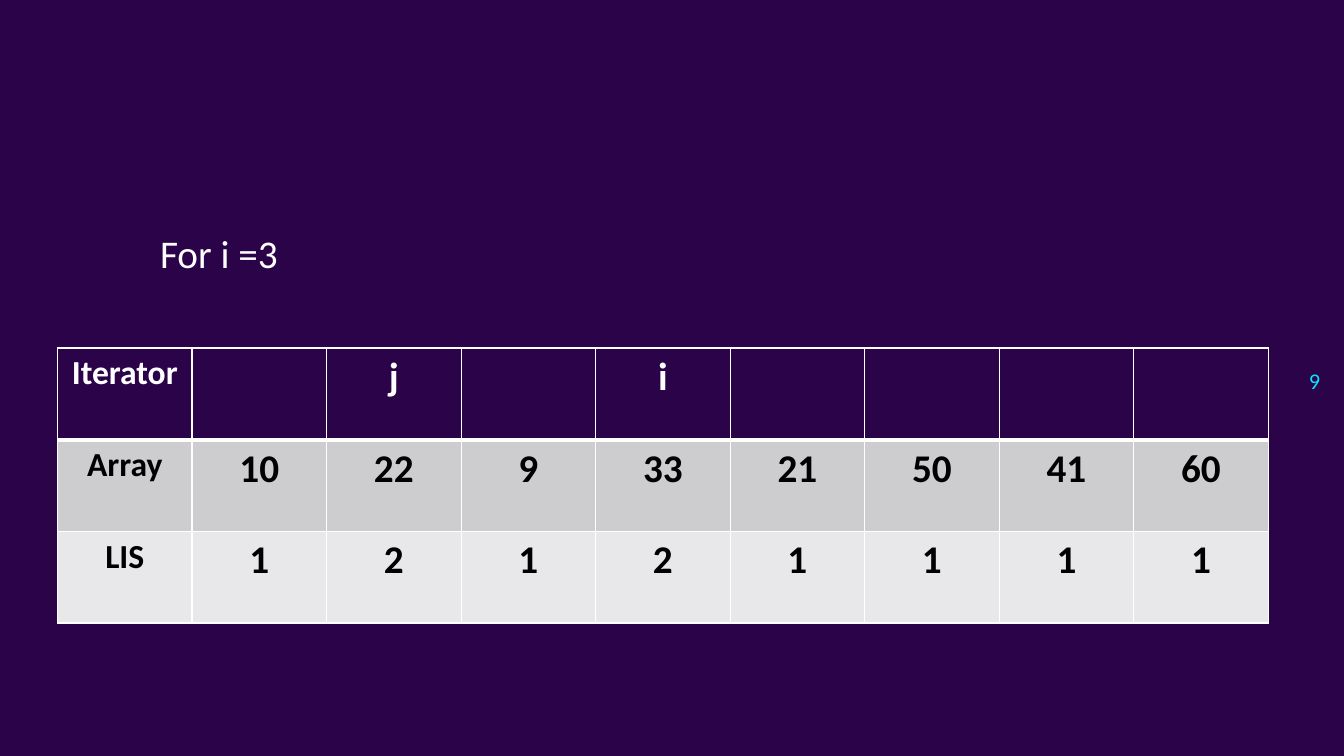
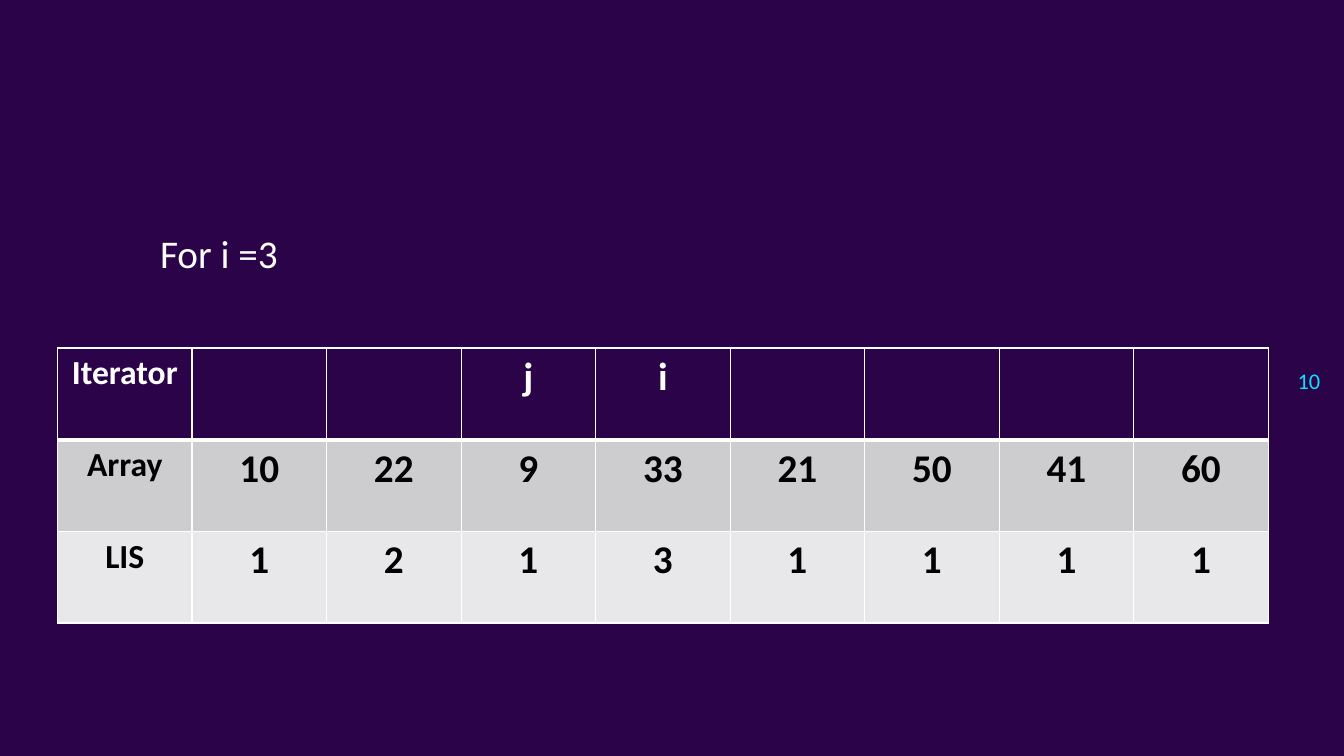
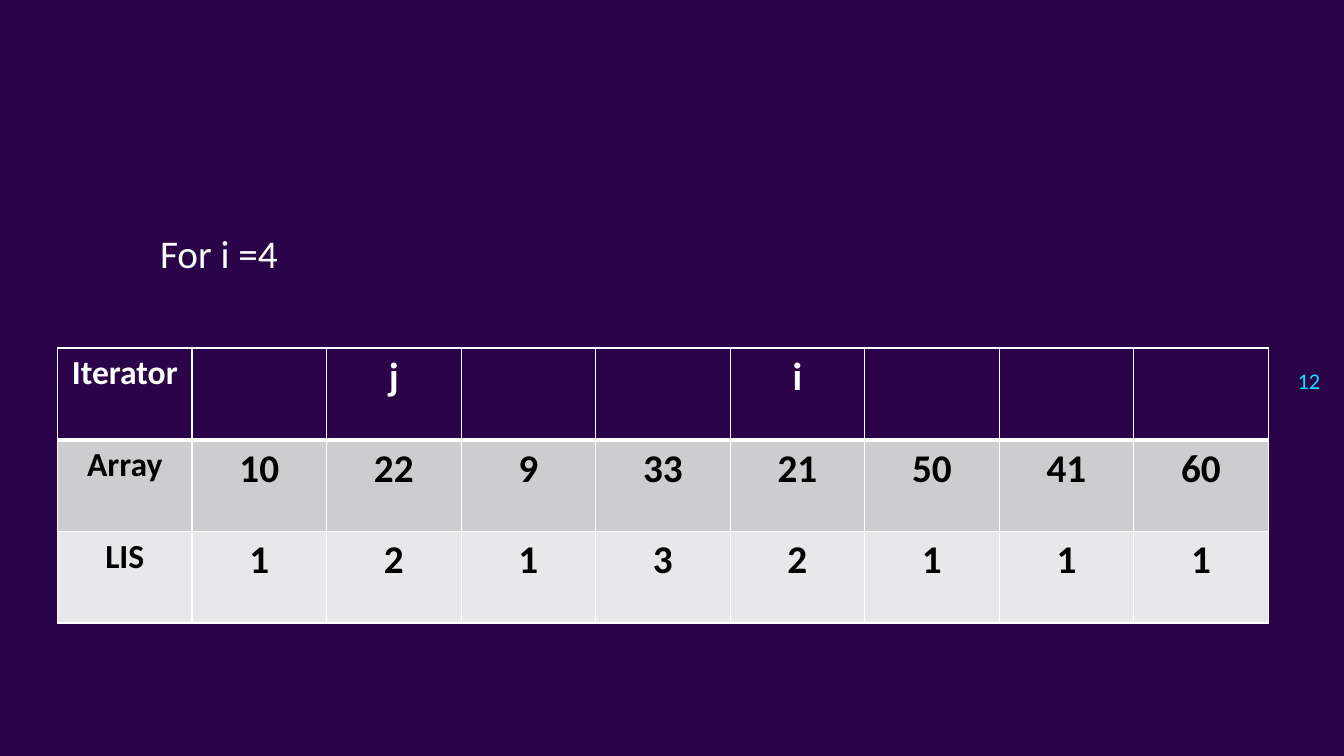
from dataclasses import dataclass

from lxml.etree import SubElement
from pptx import Presentation
from pptx.dml.color import RGBColor
from pptx.enum.text import MSO_ANCHOR, MSO_AUTO_SIZE, PP_ALIGN
from pptx.oxml.ns import qn
from pptx.util import Cm, Pt


@dataclass(frozen=True)
class Theme:
    font: str = "Calibri"
    background: str = "2B0348"
    light: str = "FFFFFF"
    dark: str = "000000"
    accent: str = "0BE1FF"
    array_fill: str = "CDCCCF"
    lis_fill: str = "E8E7E9"
    title_size: int = 28
    label_size: int = 24
    value_size: int = 28
    number_size: int = 16
    rule: int = 1
    header_rule: int = 3


THEME = Theme()
TITLE_ONLY = 5

# Table content
ARRAY = [10, 22, 9, 33, 21, 50, 41, 60]
COL_W, ROW_H = Cm(3.39), Cm(2.31)

# Slide number, positions of j and i in the array, LIS lengths so far
STEPS = [
    (9, 1, 3, [1, 2, 1, 2, 1, 1, 1, 1]),
    (10, 2, 3, [1, 2, 1, 3, 1, 1, 1, 1]),
    (12, 1, 4, [1, 2, 1, 3, 2, 1, 1, 1]),
]


def add_run(p, text, size, color, bold=False):
    r = p.add_run()
    r.text = str(text)
    r.font.name = THEME.font
    r.font.size = Pt(size)
    r.font.bold = bold
    r.font.color.rgb = RGBColor.from_string(color)


def add_title(s, text):
    title = s.shapes.title
    title.left, title.top, title.width, title.height = Cm(3.78), Cm(5.05), Cm(20.3), Cm(3.12)
    tf = title.text_frame
    tf.auto_size = MSO_AUTO_SIZE.NONE
    tf.vertical_anchor = MSO_ANCHOR.TOP
    p = tf.paragraphs[0]
    p.alignment = PP_ALIGN.LEFT
    p.line_spacing = 1.5
    add_run(p, text, THEME.title_size, THEME.light)


def add_slide_number(s, number):
    tf = s.shapes.add_textbox(Cm(32), Cm(8.79), Cm(1.52), Cm(1.6)).text_frame
    tf.word_wrap = True
    tf.vertical_anchor = MSO_ANCHOR.MIDDLE
    p = tf.paragraphs[0]
    p.alignment = PP_ALIGN.RIGHT
    add_run(p, number, THEME.number_size, THEME.accent)


def set_borders(cell, top, bottom):
    tc_pr = cell._tc.get_or_add_tcPr()
    sides = {"L": THEME.rule, "R": THEME.rule, "T": top, "B": bottom}
    for side, width in sides.items():
        ln = SubElement(tc_pr, qn(f"a:ln{side}"), w=str(Pt(width)))
        SubElement(SubElement(ln, qn("a:solidFill")), qn("a:srgbClr"), val=THEME.light)


def add_lis_table(s, j, i, lis):
    iterators = [{j: "j", i: "i"}.get(k, "") for k in range(len(ARRAY))]
    # Row label and values, fill, text colour, top and bottom rule
    rows = [
        (["Iterator", *iterators], THEME.background, THEME.light, THEME.rule, THEME.header_rule),
        (["Array", *ARRAY], THEME.array_fill, THEME.dark, THEME.header_rule, THEME.rule),
        (["LIS", *lis], THEME.lis_fill, THEME.dark, THEME.rule, THEME.rule),
    ]
    n_cols = len(ARRAY) + 1
    table = s.shapes.add_table(len(rows), n_cols, Cm(1.45), Cm(8.77),
                               COL_W * n_cols, ROW_H * len(rows)).table
    table.horz_banding = False
    for col in table.columns:
        col.width = COL_W
    for row, (texts, fill, color, top, bottom) in zip(table.rows, rows):
        row.height = ROW_H
        for c, (cell, text) in enumerate(zip(row.cells, texts)):
            set_borders(cell, top, bottom)
            cell.fill.solid()
            cell.fill.fore_color.rgb = RGBColor.from_string(fill)
            p = cell.text_frame.paragraphs[0]
            p.alignment = PP_ALIGN.CENTER
            if text != "":
                size = THEME.value_size if c else THEME.label_size
                add_run(p, text, size, color, bold=True)


def main():
    prs = Presentation()
    prs.slide_width, prs.slide_height = Cm(33.87), Cm(19.05)

    # Shared background
    background = prs.slide_master.background.fill
    background.solid()
    background.fore_color.rgb = RGBColor.from_string(THEME.background)

    # One slide per step
    for number, j, i, lis in STEPS:
        s = prs.slides.add_slide(prs.slide_layouts[TITLE_ONLY])
        add_slide_number(s, number)
        add_title(s, f"For i ={i}")
        add_lis_table(s, j, i, lis)

    prs.save("out.pptx")


if __name__ == "__main__":
    main()
